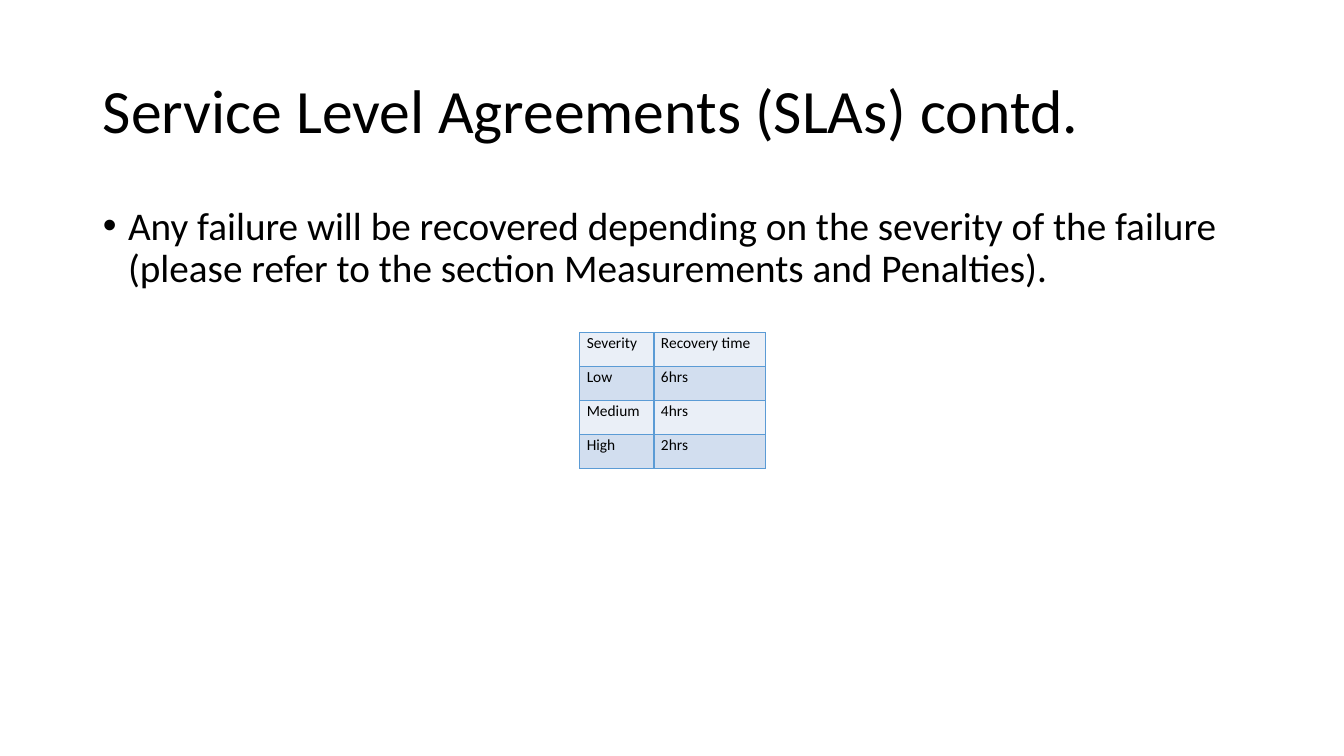
from dataclasses import dataclass

from lxml.etree import SubElement
from pptx import Presentation
from pptx.dml.color import RGBColor
from pptx.enum.text import MSO_ANCHOR, MSO_AUTO_SIZE, PP_ALIGN
from pptx.oxml.ns import qn
from pptx.util import Inches, Pt


@dataclass(frozen=True)
class Theme:
    font: str = "Calibri"
    text: str = "000000"
    background: str = "FFFFFF"
    border: str = "5B9BD5"
    bands: tuple = ("EAEFF7", "D2DEEF")
    title_size: int = 44
    body_size: int = 28
    table_size: int = 11


THEME = Theme()
MARGIN, CONTENT_WIDTH = 0.92, 11.5
TITLE_BOX = (MARGIN, 0.4, CONTENT_WIDTH, 1.45)
BODY_BOX = (MARGIN, 2, CONTENT_WIDTH, 4.76)
TABLE_BOX = (5.75, 3.3, 1.84, 1.35)
COLUMN_SHARES = (0.4, 0.6)
RECOVERY_TIMES = (
    ("Severity", "Recovery time"),
    ("Low", "6hrs"),
    ("Medium", "4hrs"),
    ("High", "2hrs"),
)


def format_paragraph(paragraph, size, line_spacing):
    paragraph.font.name = THEME.font
    paragraph.font.size = Pt(size)
    paragraph.font.color.rgb = RGBColor.from_string(THEME.text)
    paragraph.alignment = PP_ALIGN.LEFT
    paragraph.line_spacing = line_spacing


def fill_placeholder(shape, box, text, size, anchor):
    """Place a template placeholder in the box and return its paragraph."""
    shape.left, shape.top, shape.width, shape.height = map(Inches, box)
    frame = shape.text_frame
    frame.text = text
    frame.word_wrap = True
    frame.auto_size = MSO_AUTO_SIZE.NONE
    frame.vertical_anchor = anchor
    paragraph = frame.paragraphs[0]
    format_paragraph(paragraph, size, 0.9)
    return paragraph


def add_title(slide, box):
    fill_placeholder(slide.shapes.title, box, "Service Level Agreements (SLAs) contd.",
                     THEME.title_size, MSO_ANCHOR.MIDDLE)


def add_body(slide, box):
    text = ("Any failure will be recovered depending on the severity of the failure "
            "(please refer to the section Measurements and Penalties).")
    paragraph = fill_placeholder(slide.placeholders[1], box, text,
                                 THEME.body_size, MSO_ANCHOR.TOP)
    paragraph.space_before = Pt(10)
    properties = paragraph._p.get_or_add_pPr()
    properties.set("marL", str(Inches(0.25)))
    properties.set("indent", str(-Inches(0.25)))
    SubElement(properties, qn("a:buFont"), typeface="Arial")
    SubElement(properties, qn("a:buChar"), char="•")


def set_borders(cell):
    """Draw all four cell borders; they must precede the cell's fill."""
    properties = cell._tc.get_or_add_tcPr()
    for side in ("lnL", "lnR", "lnT", "lnB"):
        line = SubElement(properties, qn(f"a:{side}"), w=str(Pt(1)))
        fill = SubElement(line, qn("a:solidFill"))
        SubElement(fill, qn("a:srgbClr"), val=THEME.border)


def format_cell(cell, text, color):
    set_borders(cell)
    cell.fill.solid()
    cell.fill.fore_color.rgb = RGBColor.from_string(color)
    cell.margin_left = cell.margin_right = Inches(0.07)
    cell.margin_top = cell.margin_bottom = 0
    cell.vertical_anchor = MSO_ANCHOR.TOP
    cell.text = text
    format_paragraph(cell.text_frame.paragraphs[0], THEME.table_size, 1.07)


def add_recovery_table(slide, box):
    left, top, width, height = map(Inches, box)
    table = slide.shapes.add_table(len(RECOVERY_TIMES), len(COLUMN_SHARES),
                                   left, top, width, height).table
    table.first_row = table.horz_banding = False
    for column, share in zip(table.columns, COLUMN_SHARES):
        column.width = int(width * share)
    for row_index, values in enumerate(RECOVERY_TIMES):
        color = THEME.bands[row_index % len(THEME.bands)]
        for column_index, text in enumerate(values):
            format_cell(table.cell(row_index, column_index), text, color)


def main():
    presentation = Presentation()
    presentation.slide_width = Inches(13.33)
    presentation.slide_height = Inches(7.5)
    slide = presentation.slides.add_slide(presentation.slide_layouts[1])
    slide.background.fill.solid()
    slide.background.fill.fore_color.rgb = RGBColor.from_string(THEME.background)
    add_title(slide, TITLE_BOX)
    add_body(slide, BODY_BOX)
    add_recovery_table(slide, TABLE_BOX)
    presentation.save("out.pptx")


if __name__ == "__main__":
    main()
